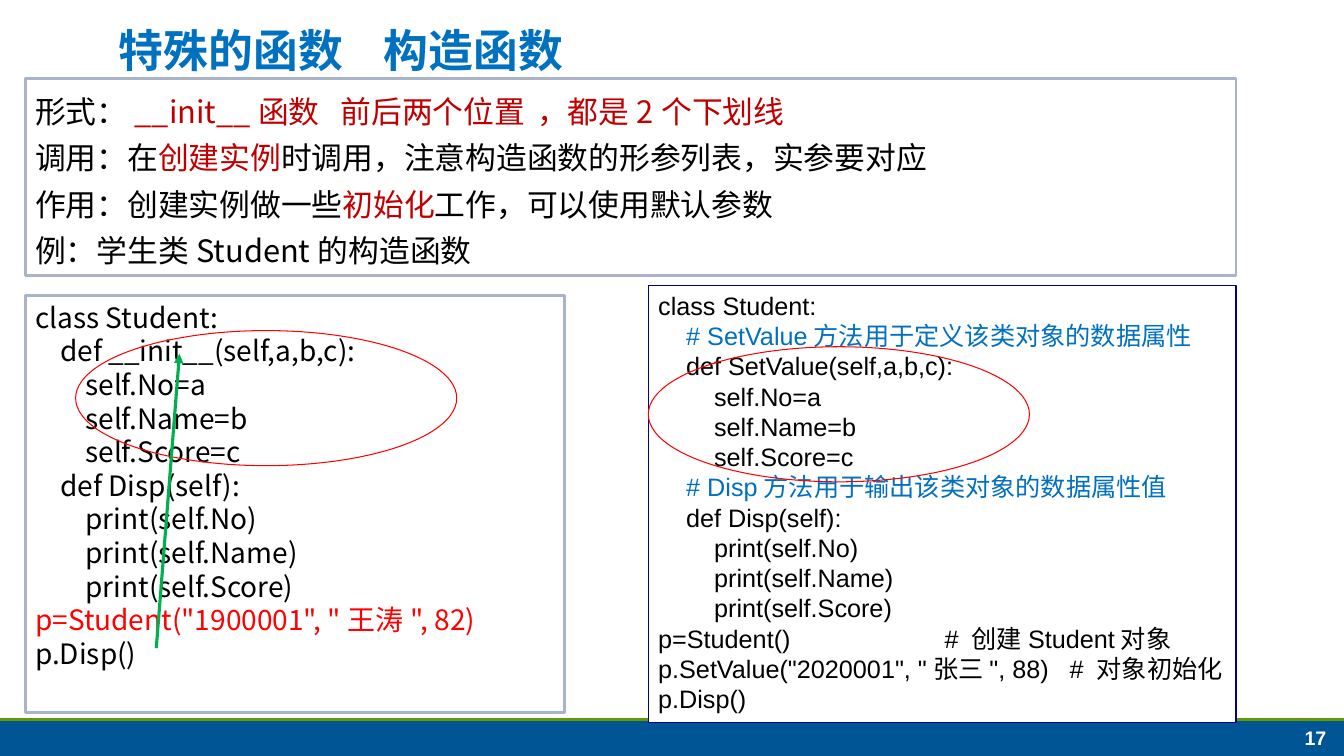
"""Build the slide on the constructor function of a class."""
from lxml.etree import SubElement as add_element
from pptx import Presentation
from pptx.dml.color import RGBColor
from pptx.enum.shapes import MSO_CONNECTOR as Connector, MSO_SHAPE as Shape
from pptx.enum.text import MSO_ANCHOR as Anchor, PP_ALIGN as Align
from pptx.oxml.ns import qn
from pptx.util import Pt

PX = 9144
COLORS = {
    "white": "FFFFFF", "black": "000000", "bar": "005595", "rule": "669900",
    "blue": "0070C0", "frame": "AAB4C8", "navy": "000099", "key": "C00000",
    "red": "FF0000", "green": "00B050",
}
CJK = "Noto Sans CJK SC"

TITLE = [[("特殊的函数\t构造函数", "blue")]]
NOTES = [
    [("形式：", "black"), ("__init__函数\t前后两个位置\t，都是2个下划线", "key")],
    [("调用：在", "black"), ("创建实例", "key"),
     ("时调用，注意构造函数的形参列表，实参要对应", "black")],
    [("作用：创建实例做一些", "black"), ("初始化", "key"),
     ("工作，可以使用默认参数", "black")],
    [("例：学生类Student的构造函数", "black")],
]
FIELDS = [
    [("        self.No=a", "black")],
    [("        self.Name=b", "black")],
    [("        self.Score=c", "black")],
]
DISPLAY = [
    [("    def Disp(self):", "black")],
    [("        print(self.No)", "black")],
    [("        print(self.Name)", "black")],
    [("        print(self.Score)", "black")],
]
INIT_CODE = [
    [("class Student:", "black")],
    [("    def __init__(self,a,b,c):", "black")],
    *FIELDS,
    *DISPLAY,
    [('p=Student("1900001", "王涛", 82)', "red")],
    [("p.Disp()", "black")],
]
SETTER_CODE = [
    [("class Student:", "black")],
    [("    ", "black"), ("# SetValue方法用于定义该类对象的数据属性", "blue")],
    [("    def SetValue(self,a,b,c):", "black")],
    *FIELDS,
    [("    ", "black"), ("# Disp方法用于输出该类对象的数据属性值", "blue")],
    *DISPLAY,
    [("p=Student()\t# 创建Student对象", "black")],
    [('p.SetValue("2020001", "张三", 88)\t# 对象初始化', "black")],
    [("p.Disp()", "black")],
]


def color(name):
    """Return the named colour."""
    return RGBColor.from_string(COLORS[name])


def scale(*lengths):
    """Turn px lengths into EMU."""
    return [length * PX for length in lengths]


def add_figure(page, kind, place, fill=None, line=None, width=1):
    """Add a preset shape with an optional fill and outline."""
    figure = page.shapes.add_shape(kind, *scale(*place))
    figure.shadow.inherit = False
    if fill:
        figure.fill.solid()
        figure.fill.fore_color.rgb = color(fill)
    else:
        figure.fill.background()
    if line:
        figure.line.color.rgb = color(line)
        figure.line.width = Pt(width)
    else:
        figure.line.fill.background()
    return figure


def add_line(page, start, end, stroke, width, arrow=False):
    """Add a straight line, with an arrowhead at its end if asked."""
    line = page.shapes.add_connector(Connector.STRAIGHT, *scale(*start, *end))
    line.line.color.rgb = color(stroke)
    line.line.width = Pt(width)
    if arrow:
        add_element(line.line._get_or_add_ln(), qn("a:tailEnd"), type="triangle")
    add_element(line._element.spPr, qn("a:effectLst"))


def add_tabs(para, stops):
    """Set left tab stops, given in px."""
    tabs = add_element(para._p.get_or_add_pPr(), qn("a:tabLst"))
    for stop in stops:
        add_element(tabs, qn("a:tab"), pos=str(stop * PX), algn="l")


def write(box, lines, size, font=CJK, spacing=None, bold=False, tabs=None,
          anchor=Anchor.TOP, wrap=True):
    """Write coloured runs; tabs maps a line number to its stops."""
    frame = box.text_frame
    frame.word_wrap = wrap
    frame.vertical_anchor = anchor
    for number, runs in enumerate(lines):
        para = frame.add_paragraph() if number else frame.paragraphs[0]
        para.alignment = Align.LEFT
        if spacing:
            para.line_spacing = Pt(spacing)
        if tabs and number in tabs:
            add_tabs(para, tabs[number])
        for text, shade in runs:
            span = para.add_run()
            span.text = text
            span.font.size = Pt(size)
            span.font.bold = bold
            span.font.color.rgb = color(shade)
            span.font.name = font
            add_element(span._r.get_or_add_rPr(), qn("a:ea"), typeface=CJK)


def main():
    """Build and save the deck."""
    deck = Presentation()
    deck.slide_width, deck.slide_height = scale(1333, 750)
    page = deck.slides.add_slide(deck.slide_layouts[6])

    add_figure(page, Shape.RECTANGLE, (0, 714, 1333, 36), "bar")
    add_line(page, (0, 714), (1333, 714), "rule", 2)
    number = page.shapes.add_textbox(*scale(1284, 714, 44, 34))
    write(number, [[("17", "white")]], 14, "Arial", bold=True,
          anchor=Anchor.BOTTOM, wrap=False)

    title = page.shapes.add_textbox(*scale(108, 14, 950, 63))
    write(title, TITLE, 32, spacing=41, bold=True, tabs={0: [263]})

    notes = add_figure(page, Shape.RECTANGLE, (25, 78, 1201, 195), "white", "frame", 2)
    write(notes, NOTES, 22, spacing=33, tabs={0: [303, 498]})
    init = add_figure(page, Shape.RECTANGLE, (25, 293, 535, 414), "white", "frame", 2)
    write(init, INIT_CODE, 20, spacing=24)
    setter = add_figure(page, Shape.RECTANGLE, (643, 283, 583, 434), "white", "navy")
    write(setter, SETTER_CODE, 18, "Arial", 21.6, tabs={11: [284], 12: [408]})

    for left, top in ((75, 328), (643, 344)):
        add_figure(page, Shape.OVAL, (left, top, 378, 134), line="red", width=0.75)
    add_line(page, (155, 643), (178, 351), "green", 2.25, arrow=True)

    deck.save("out.pptx")


if __name__ == "__main__":
    main()
